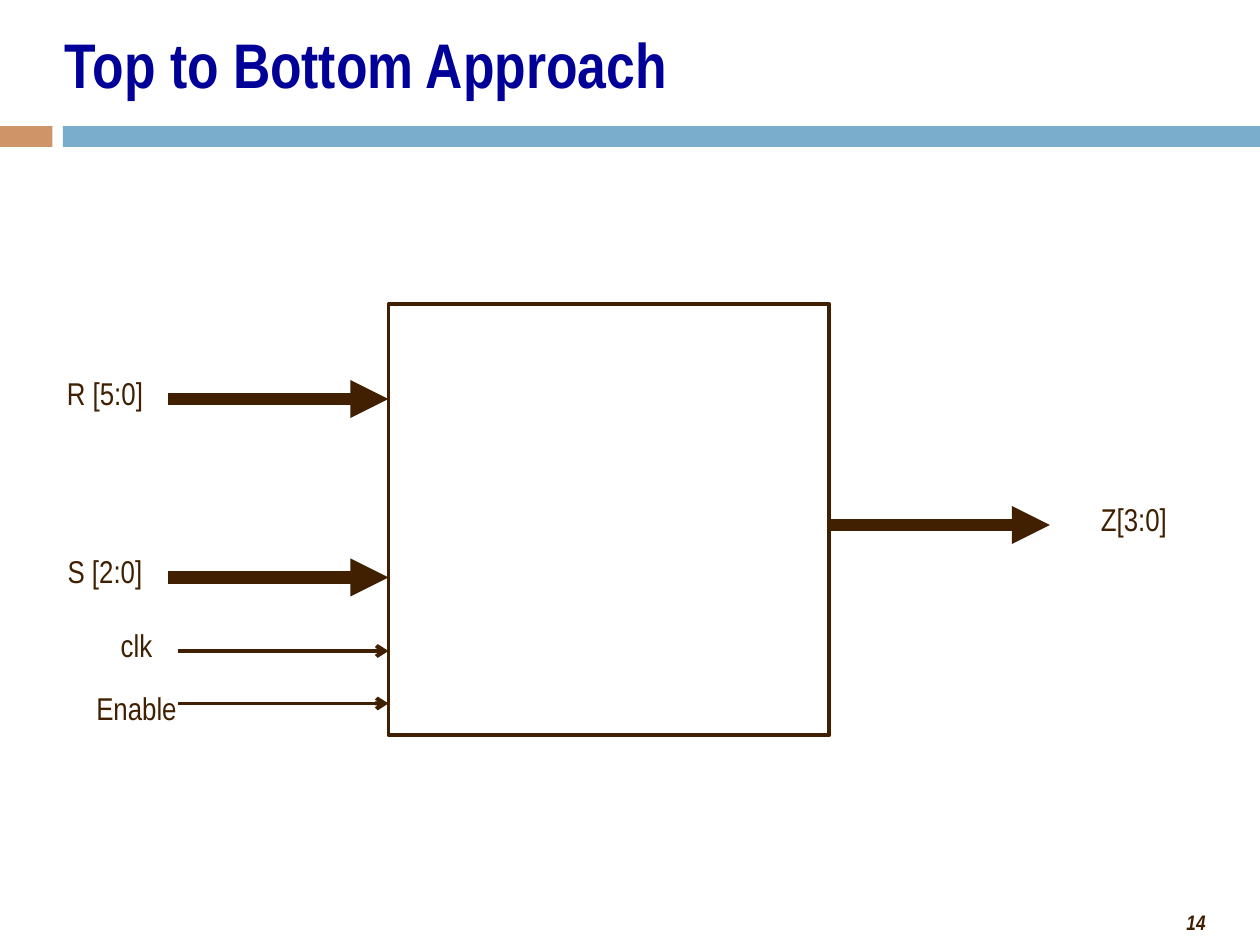
from lxml.etree import SubElement
from pptx import Presentation
from pptx.dml.color import RGBColor
from pptx.enum.shapes import MSO_CONNECTOR, MSO_SHAPE
from pptx.enum.text import MSO_ANCHOR, PP_ALIGN
from pptx.oxml.ns import qn
from pptx.util import Pt


def color(value):
    return RGBColor.from_string(value)


def add_text(page, text, place, align, anchor, formats):
    box = page.shapes.add_textbox(*map(Pt, place))
    frame = box.text_frame
    frame.word_wrap = True
    frame.vertical_anchor = anchor
    para = frame.paragraphs[0]
    para.alignment = align
    span = para.add_run()
    span.text = text
    span.font.name = "Arial Narrow"
    span.font.color.rgb = color(formats["ink"])
    for name, value in formats["font"].items():
        setattr(span.font, name, value)


BROWN = "402000"
deck = Presentation()
deck.slide_width, deck.slide_height = Pt(720), Pt(540)
page = deck.slides.add_slide(deck.slide_layouts[6])

number_format = {"ink": BROWN, "font": {"size": Pt(12), "bold": True, "italic": True}}
title_format = {"ink": "000099", "font": {"size": Pt(36), "bold": True}}
label_format = {"ink": BROWN, "font": {"size": Pt(18)}}

add_text(page, "14", (540, 516, 156, 22), PP_ALIGN.RIGHT, MSO_ANCHOR.TOP, number_format)

for left, width, fill in [(0, 30, "CF9467"), (36, 684, "7AADCC")]:
    bar = page.shapes.add_shape(MSO_SHAPE.RECTANGLE, Pt(left), Pt(72), Pt(width), Pt(12))
    bar.shadow.inherit = False
    bar.fill.solid()
    bar.fill.fore_color.rgb = color(fill)
    bar.line.fill.background()

add_text(page, "Top to Bottom Approach", (30, 6, 660, 60), PP_ALIGN.LEFT,
         MSO_ANCHOR.MIDDLE, title_format)

block = page.shapes.add_shape(MSO_SHAPE.RECTANGLE, Pt(222), Pt(174), Pt(252), Pt(246))
block.shadow.inherit = False
block.fill.background()
block.line.color.rgb = color(BROWN)
block.line.width = Pt(2.25)

signals = [
    ("R [5:0]", 24, 210, 96, 222, 228, 7.25, "triangle"),
    ("S [2:0]", 24, 312, 96, 222, 330, 7.25, "triangle"),
    ("clk", 42, 354, 102, 222, 372, 2.25, "arrow"),
    ("Enable", 42, 390, 102, 222, 402, 2.25, "arrow"),
    ("Z[3:0]", 612, 282, 474, 600, 300, 7.25, "triangle"),
]
for label, left, top, start, end, level, weight, head in signals:
    arrow = page.shapes.add_connector(
        MSO_CONNECTOR.STRAIGHT, Pt(start), Pt(level), Pt(end), Pt(level))
    arrow.line.color.rgb = color(BROWN)
    arrow.line.width = Pt(weight)
    SubElement(arrow.line._get_or_add_ln(), qn("a:tailEnd"), type=head)
    SubElement(arrow._element.spPr, qn("a:effectLst"))
    add_text(page, label, (left, top, 72, 29), PP_ALIGN.CENTER, MSO_ANCHOR.TOP, label_format)

deck.save("out.pptx")
